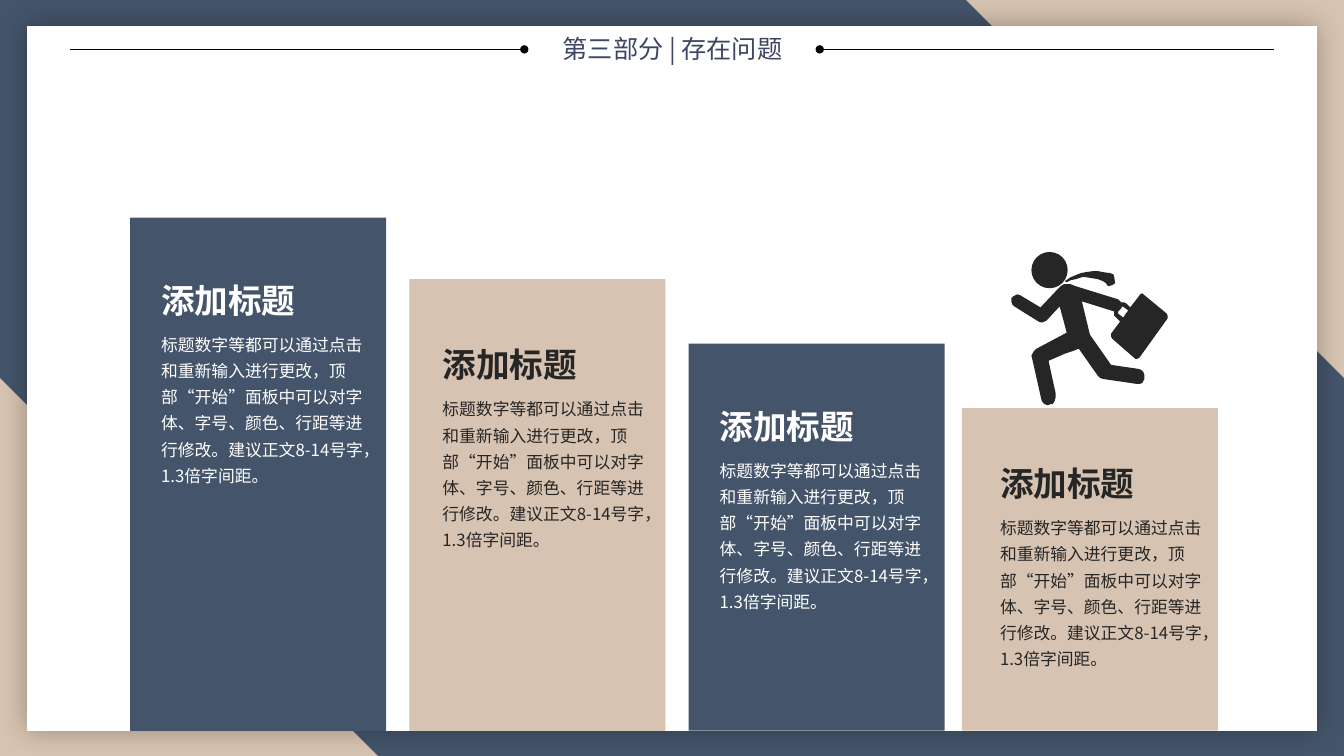
import collections
import itertools
from dataclasses import dataclass

import pptx
import pptx.dml.color
import pptx.enum.shapes
import pptx.enum.text
import pptx.oxml
import pptx.oxml.ns
import pptx.util
from pptx.util import Inches

PAGE_WIDTH, PAGE_HEIGHT = 13.33, 7.5
PANEL_LEFT, PANEL_TOP, PANEL_BOTTOM = 0.27, 0.26, 7.25

PAGE_TITLE = "第三部分 | 存在问题"
HEADING = "添加标题"
BODY = ("标题数字等都可以通过点击和重新输入进行更改，顶部“开始”面板中可以对"
        "字体、字号、颜色、行距等进行修改。建议正文8-14号字，1.3倍字间距。")

TITLE_AT = (5.34, 0.28, 2.66, 0.41)
RULE_INNER, RULE_OUTER, RULE_Y = 5.2, 0.69, 0.49

Column = collections.namedtuple("Column", "left top text_left text_top")
COLUMNS = [
    Column(left=1.29, top=2.16, text_left=1.5, text_top=2.77),
    Column(left=4.06, top=2.77, text_left=4.29, text_top=3.41),
    Column(left=6.83, top=3.41, text_left=7.04, text_top=4.02),
    Column(left=9.54, top=4.05, text_left=9.82, text_top=4.59),
]
COLUMN_WIDTH = 2.54
HEADING_SIZE = (2.09, 0.46)
BODY_SIZE = (2.23, 1.68)
BODY_DROP = 0.44

# The runner is drawn in hundredths of an inch, measured from RUNNER_AT.
# Its limbs follow one another clockwise and close into a single outline.
RUNNER_AT = (10, 2.5)
HEAD_LEFT, HEAD_DIAMETER = 0.23, 0.36
LIMBS = {
    "shoulder and back arm": [
        (57, 32), (62, 32), (67, 34), (109, 47), (112, 50), (115, 50), (117, 51)],
    "briefcase": [
        (121, 55), (131, 42), (133, 41), (134, 42), (157, 61), (158, 63), (158, 66),
        (130, 105), (128, 106), (126, 106), (103, 86), (102, 84), (102, 81), (111, 69)],
    "back hand": [(107, 65), (105, 63), (105, 59)],
    "back leg": [
        (73, 49), (81, 82), (102, 112), (129, 116), (132, 117), (134, 119),
        (135, 122), (135, 126), (133, 130), (130, 131), (128, 131), (94, 126),
        (91, 125), (89, 123), (70, 96)],
    "front leg": [
        (65, 98), (56, 101), (40, 108), (45, 131), (47, 140), (47, 144), (46, 148),
        (44, 151), (42, 151), (39, 152), (36, 151), (34, 149), (33, 147), (24, 107),
        (23, 103), (25, 99), (28, 96), (58, 80)],
    "front arm": [
        (51, 54), (38, 68), (36, 69), (33, 70), (30, 69), (6, 54), (4, 52), (3, 49),
        (3, 46), (5, 44), (7, 43), (9, 42), (12, 43), (32, 55), (48, 38), (52, 34),
        (55, 32)],
}
BRIEFCASE_HANDLE = [
    (113, 54), (112, 56), (109, 59), (109, 61), (110, 62), (114, 65), (119, 58),
    (115, 55)]
NECKTIE = [
    (84, 19), (89, 19), (94, 20), (101, 21), (104, 22), (105, 24), (106, 31),
    (103, 33), (99, 34), (97, 31), (94, 29), (89, 27), (83, 26), (77, 25),
    (73, 25), (67, 27), (62, 28), (58, 30), (56, 29), (62, 25), (67, 23),
    (72, 21), (77, 20)]


@dataclass(frozen=True)
class Theme:
    navy: str = "44546A"
    sand: str = "D7C3B1"
    white: str = "FFFFFF"
    black: str = "000000"
    dark: str = "262626"
    title: str = "3D4762"
    font: str = "Noto Sans CJK SC"
    title_size: int = 18
    heading_size: int = 24
    body_size: int = 12


THEME = Theme()
COLUMN_COLORS = [(THEME.navy, THEME.white), (THEME.sand, THEME.dark)]
SHAPES = pptx.enum.shapes.MSO_SHAPE
ANCHOR = pptx.enum.text.MSO_ANCHOR
ALIGN = pptx.enum.text.PP_ALIGN


def rgb(color):
    return pptx.dml.color.RGBColor.from_string(color)


def add_xml(parent, xml):
    """Append an element written in the drawing namespace."""
    root = pptx.oxml.parse_xml(f'<a:root {pptx.oxml.ns.nsdecls("a")}>{xml}</a:root>')
    parent.append(root[0])


def paint(shape, color):
    """Give a shape a flat fill, with no line and no shadow."""
    shape.shadow.inherit = False
    shape.fill.solid()
    shape.fill.fore_color.rgb = rgb(color)
    shape.line.fill.background()


def add_block(page, kind, at, color):
    shape = page.shapes.add_shape(kind, *map(Inches, at))
    paint(shape, color)
    return shape


def add_text(page, text, at, *, size, color, bold=False, spacing=1.0,
             align=ALIGN.LEFT, anchor=ANCHOR.TOP):
    box = page.shapes.add_textbox(*map(Inches, at))
    box.text_frame.word_wrap = True
    box.text_frame.vertical_anchor = anchor
    para = box.text_frame.paragraphs[0]
    para.alignment = align
    para.line_spacing = spacing
    span = para.add_run()
    span.text = text
    span.font.name = THEME.font
    span.font.size = pptx.util.Pt(size)
    span.font.bold = bold
    span.font.color.rgb = rgb(color)
    add_xml(span.font._element, f'<a:ea typeface="{THEME.font}"/>')


def add_soft_shadow(shape):
    effects = shape._element.spPr.find(pptx.oxml.ns.qn("a:effectLst"))
    add_xml(effects, f'<a:outerShdw blurRad="{pptx.util.Pt(20)}" dist="0" dir="0" '
                     f'algn="ctr" rotWithShape="0"><a:srgbClr val="{THEME.black}">'
                     '<a:alpha val="30000"/></a:srgbClr></a:outerShdw>')


def add_backdrop(page):
    """Two-tone background with the white panel on it."""
    page.background.fill.solid()
    page.background.fill.fore_color.rgb = rgb(THEME.sand)
    band = add_block(page, SHAPES.SNIP_2_DIAG_RECTANGLE,
                     (0, 0, PAGE_WIDTH, PAGE_HEIGHT), THEME.navy)
    band.adjustments[0], band.adjustments[1] = 0, 0.5
    panel_at = (PANEL_LEFT, PANEL_TOP,
                PAGE_WIDTH - 2 * PANEL_LEFT, PANEL_BOTTOM - PANEL_TOP)
    add_soft_shadow(add_block(page, SHAPES.RECTANGLE, panel_at, THEME.white))


def add_rule(page, inner, outer):
    """Horizontal line with a dot at its inner end."""
    rule = page.shapes.add_connector(
        pptx.enum.shapes.MSO_CONNECTOR.STRAIGHT,
        Inches(inner), Inches(RULE_Y), Inches(outer), Inches(RULE_Y))
    rule.line.color.rgb = rgb(THEME.black)
    rule.line.width = pptx.util.Pt(0.5)
    add_xml(rule.get_or_add_ln(), '<a:headEnd type="oval"/>')
    add_xml(rule._element.spPr, "<a:effectLst/>")


def add_title(page):
    add_rule(page, RULE_INNER, RULE_OUTER)
    add_rule(page, PAGE_WIDTH - RULE_INNER, PAGE_WIDTH - RULE_OUTER)
    add_text(page, PAGE_TITLE, TITLE_AT, size=THEME.title_size, color=THEME.title,
             align=ALIGN.CENTER, anchor=ANCHOR.MIDDLE)


def add_column(page, column, fill, ink):
    add_block(page, SHAPES.RECTANGLE, (column.left, column.top, COLUMN_WIDTH,
                                       PANEL_BOTTOM - column.top), fill)
    add_text(page, HEADING, (column.text_left, column.text_top, *HEADING_SIZE),
             size=THEME.heading_size, color=ink, bold=True, spacing=0.9)
    add_text(page, BODY, (column.text_left, column.text_top + BODY_DROP, *BODY_SIZE),
             size=THEME.body_size, color=ink, spacing=1.3)


def add_runner(page):
    left, top = RUNNER_AT
    add_block(page, SHAPES.OVAL,
              (left + HEAD_LEFT, top, HEAD_DIAMETER, HEAD_DIAMETER), THEME.dark)
    figure = list(itertools.chain.from_iterable(LIMBS.values()))
    builder = page.shapes.build_freeform(*figure[0], scale=Inches(0.01))
    for outline in (figure, BRIEFCASE_HANDLE, NECKTIE):
        if outline is not figure:
            builder.move_to(*outline[0])
        builder.add_line_segments(outline[1:], close=True)
    paint(builder.convert_to_shape(Inches(left), Inches(top)), THEME.dark)


def main():
    deck = pptx.Presentation()
    deck.slide_width, deck.slide_height = Inches(PAGE_WIDTH), Inches(PAGE_HEIGHT)
    page = deck.slides.add_slide(deck.slide_layouts[6])
    add_backdrop(page)
    add_title(page)
    for column, (fill, ink) in zip(COLUMNS, itertools.cycle(COLUMN_COLORS)):
        add_column(page, column, fill, ink)
    add_runner(page)
    deck.save("out.pptx")


if __name__ == "__main__":
    main()
